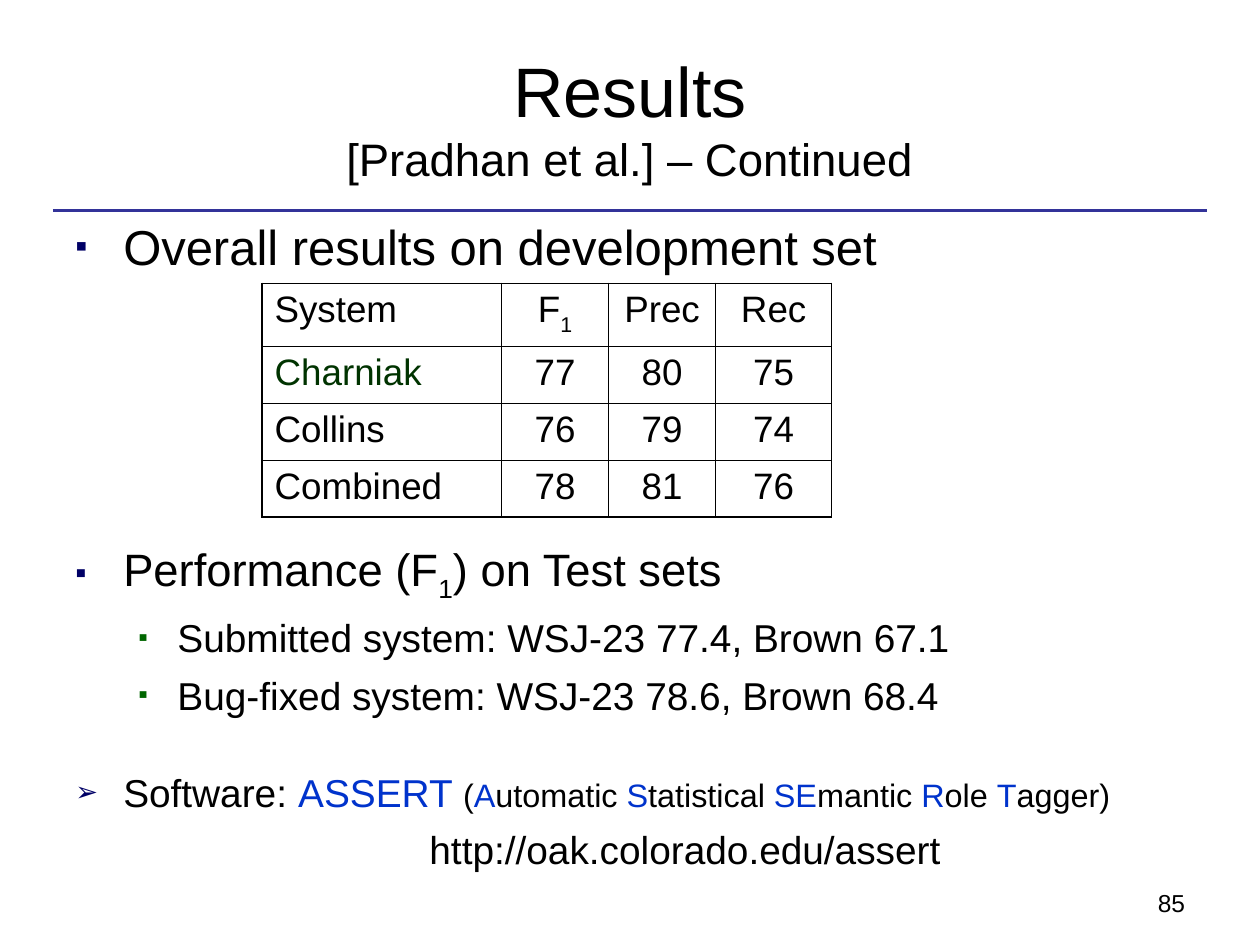
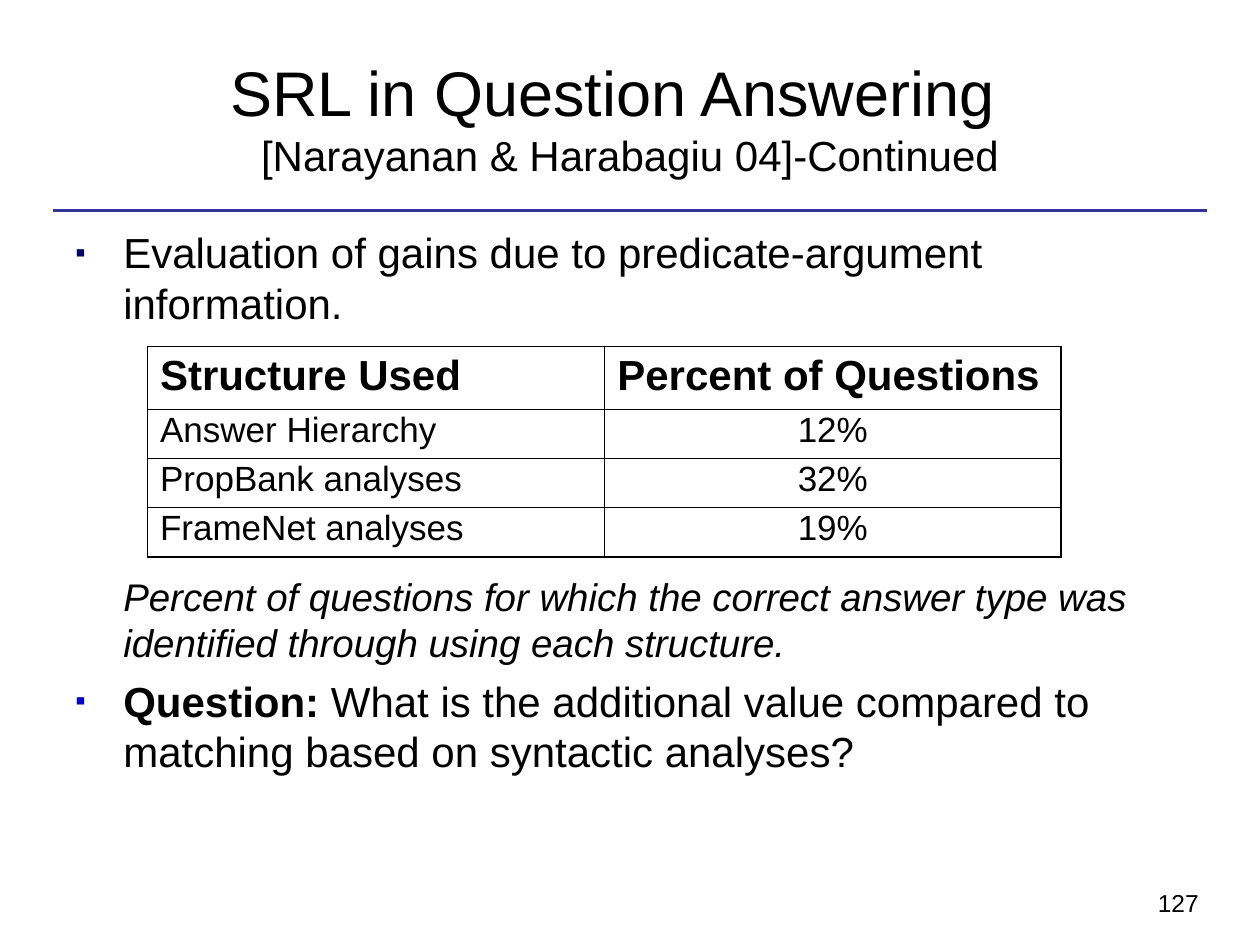
from dataclasses import dataclass
from typing import Optional

from lxml.etree import SubElement
from pptx import Presentation
from pptx.dml.color import RGBColor
from pptx.enum.shapes import MSO_CONNECTOR as Connector
from pptx.enum.text import MSO_ANCHOR as Anchor, MSO_AUTO_SIZE as AutoSize, PP_ALIGN as Align
from pptx.oxml.ns import qn
from pptx.util import Inches, Pt


@dataclass(frozen=True)
class Theme:
    font: str = "Arial"
    ink: str = "000000"
    rule: str = "333399"
    navy: str = "000066"
    blue: str = "0000CC"
    green: str = "006600"
    dark_green: str = "003300"
    accent: str = "0033CC"
    number: float = 14
    rule_width: float = 1.75
    thick: float = 1.08
    thin: float = 0.45
    bullet_percent: int = 70


THEME = Theme()


@dataclass(frozen=True)
class Span:
    text: str
    color: str = THEME.ink
    size: Optional[float] = None
    bold: bool = False
    italic: bool = False
    subscript: bool = False


@dataclass(frozen=True)
class Para:
    spans: tuple[Span, ...]
    size: float
    before: float = 0
    left: float = 0
    right: float = 0
    hanging: float = 0
    bullet: str = ""
    bullet_color: str = THEME.navy
    align: Align = Align.LEFT
    line_spacing: Optional[float] = None


@dataclass(frozen=True)
class Place:
    left: float
    top: float
    width: float
    height: float

    def lengths(self) -> tuple[int, ...]:
        return tuple(Inches(n) for n in (self.left, self.top, self.width, self.height))


@dataclass(frozen=True)
class Grid:
    left: float
    top: float
    columns: tuple[float, ...]
    rows: tuple[float, ...]
    cells: tuple[tuple[Para, ...], ...]
    thick_header: bool = False


TITLE_PLACE = Place(0.5, 0.3, 9, 1.25)
NUMBER_PLACE = Place(9.09, 7, 1.09, 0.34)
RULE_LEFT, RULE_RIGHT, RULE_TOP = 0.42, 9.58, 1.67


def plain(text: str, size: float, **options) -> Para:
    return Para((Span(text),), size, **options)


def point(spans: tuple[Span, ...], size: float, before: float = 0,
          bullet: str = "▪", color: str = THEME.navy) -> Para:
    return Para(spans, size, before, 0.38, hanging=0.38, bullet=bullet, bullet_color=color)


def subpoint(text: str) -> Para:
    return plain(text, 22.2, before=6, left=0.81, hanging=0.31,
                 bullet="▪", bullet_color=THEME.green)


def write_para(para, content: Para) -> None:
    properties = para._p.get_or_add_pPr()
    properties.set("marL", str(Inches(content.left)))
    properties.set("marR", str(Inches(content.right)))
    properties.set("indent", str(-Inches(content.hanging)))
    para.alignment = content.align
    para.space_before = Pt(content.before)
    if content.line_spacing:
        para.line_spacing = content.line_spacing
    if content.bullet:
        color = SubElement(properties, qn("a:buClr"))
        SubElement(color, qn("a:srgbClr"), val=content.bullet_color)
        SubElement(properties, qn("a:buSzPct"), val=str(THEME.bullet_percent * 1000))
        SubElement(properties, qn("a:buFont"), typeface=THEME.font)
        SubElement(properties, qn("a:buChar"), char=content.bullet)
    else:
        SubElement(properties, qn("a:buNone"))
    for span in content.spans:
        run = para.add_run()
        run.text = span.text
        font = run.font
        font.name = THEME.font
        font.size = Pt(span.size or content.size)
        font.bold = span.bold
        font.italic = span.italic
        font.color.rgb = RGBColor.from_string(span.color)
        if span.subscript:
            font._element.set("baseline", "-25000")


def write_frame(frame, paras: tuple[Para, ...]) -> None:
    for index, content in enumerate(paras):
        write_para(frame.add_paragraph() if index else frame.paragraphs[0], content)


def add_text(page, place: Place, paras: tuple[Para, ...], wrap: bool = True) -> None:
    box = page.shapes.add_textbox(*place.lengths())
    box.text_frame.word_wrap = wrap
    write_frame(box.text_frame, paras)


def set_border(cell, side: str, width: float) -> None:
    line = SubElement(cell._tc.get_or_add_tcPr(), qn(f"a:{side}"), w=str(Pt(width)))
    fill = SubElement(line, qn("a:solidFill"))
    SubElement(fill, qn("a:srgbClr"), val=THEME.ink)


def add_grid(page, grid: Grid) -> None:
    place = Place(grid.left, grid.top, sum(grid.columns), sum(grid.rows))
    row_count, column_count = len(grid.rows), len(grid.columns)
    table = page.shapes.add_table(row_count, column_count, *place.lengths()).table
    table.first_row = table.horz_banding = False
    for column, width in zip(table.columns, grid.columns):
        column.width = Inches(width)
    for row, height in zip(table.rows, grid.rows):
        row.height = Inches(height)
    heavy_rows = {0, row_count} | ({1} if grid.thick_header else set())
    heavy_columns = {0, column_count} | ({1} if grid.thick_header else set())
    for r, contents in enumerate(grid.cells):
        for c, content in enumerate(contents):
            cell = table.cell(r, c)
            sides = {"lnL": c in heavy_columns, "lnR": c + 1 in heavy_columns,
                     "lnT": r in heavy_rows, "lnB": r + 1 in heavy_rows}
            for side, heavy in sides.items():
                set_border(cell, side, THEME.thick if heavy else THEME.thin)
            cell.fill.background()
            write_frame(cell.text_frame, (content,))


def add_page(deck, title: tuple[Para, ...], number: str):
    page = deck.slides.add_slide(deck.slide_layouts[5])
    heading = page.shapes.title
    heading.left, heading.top, heading.width, heading.height = TITLE_PLACE.lengths()
    frame = heading.text_frame
    frame.auto_size = AutoSize.NONE
    frame.vertical_anchor = Anchor.MIDDLE
    write_frame(frame, title)
    rule = page.shapes.add_connector(
        Connector.STRAIGHT, Inches(RULE_LEFT), Inches(RULE_TOP),
        Inches(RULE_RIGHT), Inches(RULE_TOP))
    rule.line.color.rgb = RGBColor.from_string(THEME.rule)
    rule.line.width = Pt(THEME.rule_width)
    SubElement(rule._element.spPr, qn("a:effectLst"))
    add_text(page, NUMBER_PLACE, (plain(number, THEME.number),), wrap=False)
    return page


def build_results(deck) -> None:
    page = add_page(deck, (
        plain("Results", 40, align=Align.CENTER),
        plain("[Pradhan et al.] – Continued", 26, align=Align.CENTER)), "85")
    add_text(page, Place(0.5, 1.67, 9.08, 0.58),
             (point((Span("Overall results on development set"),), 28),))

    def score(*spans: Span) -> Para:
        return Para(spans, 21, align=Align.CENTER)

    systems = (("Charniak", THEME.dark_green, (77, 80, 75)),
               ("Collins", THEME.ink, (76, 79, 74)),
               ("Combined", THEME.ink, (78, 81, 76)))
    header = (plain("System", 21), score(Span("F"), Span("1", subscript=True)),
              score(Span("Prec")), score(Span("Rec")))
    body = tuple((Para((Span(name, color),), 21), *(score(Span(str(n))) for n in scores))
                 for name, color, scores in systems)
    add_grid(page, Grid(2.08, 2.25, (1.9, 0.85, 0.85, 0.92), (0.5, 0.45, 0.45, 0.45),
                        (header, *body), thick_header=True))

    acronym = (("A", "utomatic "), ("S", "tatistical "), ("SE", "mantic "),
               ("R", "ole "), ("T", "agger)"))
    expansion = tuple(span for initial, rest in acronym
                      for span in (Span(initial, THEME.accent, 18.5), Span(rest, size=18.5)))
    add_text(page, Place(0.5, 4.25, 9.08, 2.83), (
        point((Span("Performance (F"), Span("1", subscript=True), Span(") on Test sets")), 25.9),
        subpoint("Submitted system: WSJ-23 77.4, Brown 67.1"),
        subpoint("Bug-fixed system: WSJ-23 78.6, Brown 68.4"),
        point((Span("Software: "), Span("ASSERT ", THEME.accent), Span("(", size=18.5),
               *expansion), 22.2, before=29, bullet="➢"),
        plain("http://oak.colorado.edu/assert", 22.2, before=6, left=2.81)))


def build_question_answering(deck) -> None:
    page = add_page(deck, (
        plain("SRL in Question Answering", 36, align=Align.CENTER, right=0.28),
        plain("[Narayanan & Harabagiu 04]-Continued", 24, align=Align.CENTER)), "127")
    caption = ("Percent of questions for which the correct answer type was "
               "identified through using each structure.")
    add_text(page, Place(0.5, 1.75, 8.75, 4.95), (
        point((Span("Evaluation of gains due to predicate-argument information."),), 24),
        Para((Span(caption, italic=True),), 22, before=140, left=0.38),
        point((Span("Question:", bold=True),
               Span(" What is the additional value compared to matching based on "
                    "syntactic analyses?")), 24, before=6, color=THEME.blue)))
    header = tuple(Para((Span(text, bold=True),), 24)
                   for text in ("Structure Used", "Percent of Questions"))
    shares = (("Answer Hierarchy", "12%"), ("PropBank analyses", "32%"),
              ("FrameNet analyses", "19%"))
    body = tuple((plain(name, 20, line_spacing=0.85),
                  plain(share, 20, align=Align.CENTER, line_spacing=0.85))
                 for name, share in shares)
    add_grid(page, Grid(1.17, 2.75, (3.63, 3.62), (0.5, 0.39, 0.39, 0.39), (header, *body)))


def main() -> None:
    deck = Presentation()
    deck.slide_width, deck.slide_height = Inches(10), Inches(7.5)
    build_results(deck)
    build_question_answering(deck)
    deck.save("out.pptx")


if __name__ == "__main__":
    main()
